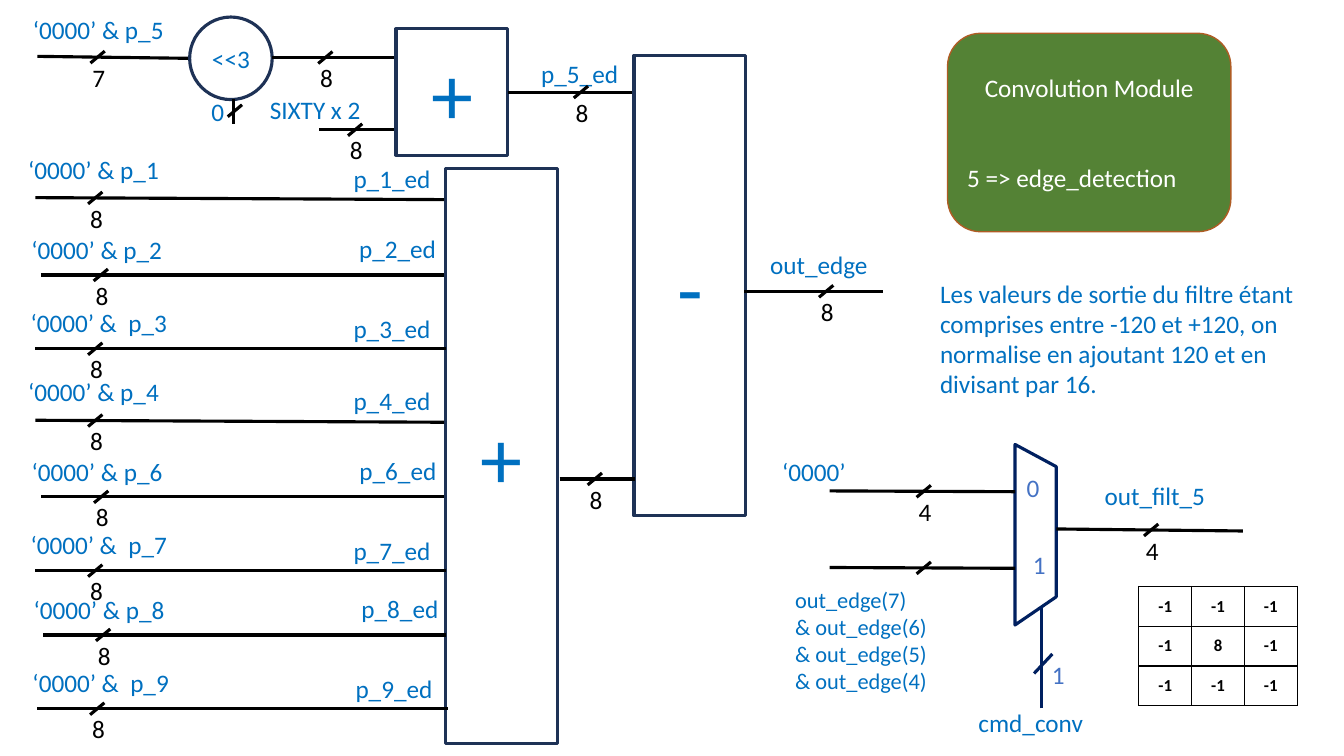
from collections import namedtuple

from lxml.etree import SubElement
from pptx import Presentation
from pptx.dml.color import RGBColor
from pptx.enum.shapes import MSO_CONNECTOR, MSO_SHAPE
from pptx.enum.text import MSO_ANCHOR, PP_ALIGN
from pptx.oxml import parse_xml
from pptx.oxml.ns import nsdecls, qn
from pptx.util import Cm, Pt

BLACK = RGBColor(0x00, 0x00, 0x00)
WHITE = RGBColor(0xFF, 0xFF, 0xFF)
BLUE = RGBColor(0x00, 0x70, 0xC0)
PIN_BLUE = RGBColor(0x44, 0x72, 0xC4)
NAVY = RGBColor(0x00, 0x20, 0x60)
OUTLINE = RGBColor(0x1E, 0x32, 0x56)
GREEN = RGBColor(0x54, 0x82, 0x35)
RUST = RGBColor(0xAF, 0x5C, 0x24)

FONT = "Calibri"
BLOCK_W = 2.82
LABEL_H = 1.02

# Layout of one kind of input row, measured from the start of its wire
RowStyle = namedtuple("RowStyle", "prefix length fall label_dx label_up result_up")
WIDE = RowStyle("‘0000’ & ", 10.3, 0.05, -0.43, 1.22, 1.0)
EVEN = RowStyle("‘0000’ & ", 10.16, 0, -0.49, 1.14, 1.17)
SPACED = RowStyle("‘0000’ &  ", 10.36, 0, -0.37, 1.16, 1.01)

# Pixel, style, and wire start relative to the sum block
INPUT_ROWS = [
    ("p_1", WIDE, -10.34, 0.74),
    ("p_2", EVEN, -10.2, 2.69),
    ("p_3", SPACED, -10.34, 4.55),
    ("p_4", WIDE, -10.34, 6.35),
    ("p_6", EVEN, -10.19, 8.28),
    ("p_7", SPACED, -10.34, 10.14),
    ("p_8", EVEN, -10.14, 11.76),
    ("p_9", SPACED, -10.29, 13.62),
]
KERNEL = [[-1, -1, -1], [-1, 8, -1], [-1, -1, -1]]


def set_font(p, size, color, bold=False):
    p.font.name = FONT
    p.font.size = Pt(size)
    p.font.color.rgb = color
    p.font.bold = bold


def add_label(slide, text, x, y, w, h=LABEL_H, size=18, color=BLUE,
              align=PP_ALIGN.LEFT, wrap=True):
    tf = slide.shapes.add_textbox(Cm(x), Cm(y), Cm(w), Cm(h)).text_frame
    tf.word_wrap = wrap
    tf.text = text
    for p in tf.paragraphs:
        p.alignment = align
        set_font(p, size, color)


def add_wire(slide, x1, y1, x2, y2, color=BLACK):
    line = slide.shapes.add_connector(
        MSO_CONNECTOR.STRAIGHT, Cm(x1), Cm(y1), Cm(x2), Cm(y2))
    line.line.color.rgb = color
    line.line.width = Pt(2.25)
    SubElement(line._element.spPr, qn("a:effectLst"))
    return line


def add_slash(slide, x, y):
    add_wire(slide, x - 0.18, y + 0.15, x + 0.18, y - 0.15)


def add_bus(slide, x1, y1, x2, y2, slash_x, bits=""):
    """Wire crossed by a slash, with its number of bits underneath."""
    wire = add_wire(slide, x1, y1, x2, y2)
    slash_y = y1 + (y2 - y1) * (slash_x - x1) / (x2 - x1)
    add_slash(slide, slash_x, slash_y)
    if bits:
        add_label(slide, bits, slash_x - 0.38, slash_y, 0.84, color=BLACK, wrap=False)
    return wire


def add_block(slide, text, x, y, w, h, shape=MSO_SHAPE.RECTANGLE, size=60):
    sp = slide.shapes.add_shape(shape, Cm(x), Cm(y), Cm(w), Cm(h))
    sp.shadow.inherit = False
    sp.fill.background()
    sp.line.color.rgb = OUTLINE
    sp.line.width = Pt(2.25)
    tf = sp.text_frame
    tf.text = text
    tf.vertical_anchor = MSO_ANCHOR.MIDDLE
    p = tf.paragraphs[0]
    p.alignment = PP_ALIGN.CENTER
    set_font(p, size, BLUE)
    return sp


def add_shift_stage(slide, x, y):
    """Shift and offset of p_5; x, y is the start of the p_5 wire."""
    add_label(slide, "‘0000’ & p_5", x - 0.36, y - 1.19, 3.89)
    add_bus(slide, x, y, x + 3.84, y + 0.05, x + 1.52, "7")
    add_block(slide, "<<3", x + 3.84, y - 0.99, 2.08, 2.08, MSO_SHAPE.OVAL, 18)
    add_wire(slide, x + 4.95, y + 1.7, x + 4.95, y + 1.07)
    add_slash(slide, x + 4.98, y + 1.37)
    add_label(slide, "0", x + 4.14, y + 0.89, 0.91)
    add_bus(slide, x + 5.92, y + 0.03, x + 9.04, y + 0.03, x + 7.26, "8")
    add_label(slide, "SIXTY x 2", x + 5.61, y + 0.84, 2.9)
    add_bus(slide, x + 7.11, y + 1.85, x + 9.02, y + 1.85, x + 8.01, "8")
    adder = add_block(slide, "+", x + 9.04, y - 0.69, BLOCK_W, 3.18)
    add_label(slide, "p_5_ed", x + 12.45, y - 0.08, 2.84)
    result = add_bus(slide, x + 11.86, y + 0.9, x + 15.01, y + 0.9, x + 13.7, "8")
    result.begin_connect(adder, 3)


def add_sum_stage(slide, x, y):
    add_block(slide, "+", x, y, BLOCK_W, 14.5)
    for pixel, style, dx, dy in INPUT_ROWS:
        x1, y1 = x + dx, y + dy
        add_label(slide, style.prefix + pixel, x1 + style.label_dx,
                  y1 - style.label_up, 4.1)
        add_bus(slide, x1, y1, x1 + style.length, y1 + style.fall, x1 + 1.51, "8")
        add_label(slide, f"{pixel}_ed", x1 + 7.77, y1 - style.result_up, 2.84)


def add_subtractor(slide, x, y):
    add_block(slide, "-", x, y, BLOCK_W, 11.6)
    add_bus(slide, x - 1.88, y + 10.67, x + 0.03, y + 10.67, x - 0.99, "8")
    add_bus(slide, x + 2.77, y + 5.94, x + 6.27, y + 5.94, x + 4.84, "8")
    add_label(slide, "out_edge", x + 3.18, y + 4.75, 3.73)


def add_multiplexer(slide, x, y):
    builder = slide.shapes.build_freeform(Cm(x), Cm(y))
    corners = [(1.04, 0.56), (1.04, 3.84), (0, 4.55)]
    builder.add_line_segments([(Cm(x + dx), Cm(y + dy)) for dx, dy in corners])
    body = builder.convert_to_shape()
    body.shadow.inherit = False
    body.fill.background()
    body.line.color.rgb = NAVY
    body.line.width = Pt(2.25)

    for pin, dx, dy, w in [("0", 0, 0.58, 0.91), ("1", 0.1, 2.51, 1.02),
                           ("1", 0.48, 5.28, 1.22)]:
        add_label(slide, pin, x + dx, y + dy, w, color=PIN_BLUE, align=PP_ALIGN.CENTER)

    add_label(slide, "‘0000’", x - 6.12, y + 0.18, 2.34)
    add_bus(slide, x - 4.67, y + 1.17, x, y + 1.19, x - 2.3, "4")
    add_bus(slide, x - 4.67, y + 3.1, x, y + 3.12, x - 2.3)
    add_label(slide, "out_edge(7)\n& out_edge(6)\n& out_edge(5)\n& out_edge(4)",
              x - 5.79, y + 3.45, 4.9, 3, size=16)

    add_label(slide, "out_filt_5", x + 2.01, y + 0.79, 3.73)
    add_bus(slide, x + 1.04, y + 2.13, x + 5.74, y + 2.18, x + 3.43, "4")

    add_wire(slide, x + 0.66, y + 6.65, x + 0.66, y + 4.09, NAVY)
    add_wire(slide, x + 0.48, y + 5.77, x + 0.94, y + 5.28, NAVY)
    add_label(slide, "cmd_conv", x - 1.17, y + 6.5, 3.73)


def add_module_card(slide, x, y, w, h):
    sp = slide.shapes.add_shape(MSO_SHAPE.ROUNDED_RECTANGLE, Cm(x), Cm(y), Cm(w), Cm(h))
    sp.shadow.inherit = False
    sp.fill.solid()
    sp.fill.fore_color.rgb = GREEN
    sp.line.color.rgb = RUST
    sp.line.width = Pt(1)
    tf = sp.text_frame
    tf.vertical_anchor = MSO_ANCHOR.MIDDLE
    tf.text = "Convolution Module\n5 => edge_detection"
    name, mode = tf.paragraphs
    name.alignment = PP_ALIGN.CENTER
    mode.alignment = PP_ALIGN.LEFT
    mode.space_before = Pt(43)
    for p in (name, mode):
        set_font(p, 18, WHITE)


def add_kernel_table(slide, x, y, w, h):
    size = len(KERNEL)
    table = slide.shapes.add_table(size, size, Cm(x), Cm(y), Cm(w), Cm(h)).table
    table.first_row = table.horz_banding = False
    for row, values in enumerate(KERNEL):
        for col, value in enumerate(values):
            cell = table.cell(row, col)
            cell.text = str(value)
            cell.vertical_anchor = MSO_ANCHOR.MIDDLE
            cell.margin_left = cell.margin_right = Cm(0.18)
            cell.margin_top = cell.margin_bottom = Cm(0.08)
            cell.fill.background()
            p = cell.text_frame.paragraphs[0]
            p.alignment = PP_ALIGN.CENTER
            set_font(p, 12, BLACK, bold=True)
            tc_pr = cell._tc.get_or_add_tcPr()
            for i, side in enumerate("LRTB"):
                tc_pr.insert(i, parse_xml(
                    f'<a:ln{side} {nsdecls("a")} w="{Pt(1)}"><a:solidFill>'
                    f'<a:srgbClr val="{BLACK}"/></a:solidFill></a:ln{side}>'))


def main():
    prs = Presentation()
    prs.slide_width, prs.slide_height = Cm(33.87), Cm(19.05)
    slide = prs.slides.add_slide(prs.slide_layouts[6])
    add_shift_stage(slide, 0.94, 1.42)
    add_sum_stage(slide, 11.23, 4.24)
    add_subtractor(slide, 15.98, 1.4)
    add_module_card(slide, 23.88, 0.84, 7.14, 5)
    add_label(slide, "Les valeurs de sortie du filtre étant comprises entre -120 et +120, "
              "on normalise en ajoutant 120 et en divisant par 16.", 23.44, 6.88, 10.21, 3.33)
    add_multiplexer(slide, 25.58, 11.2)
    add_kernel_table(slide, 28.7, 14.78, 3.99, 3)
    prs.save("out.pptx")


if __name__ == "__main__":
    main()
